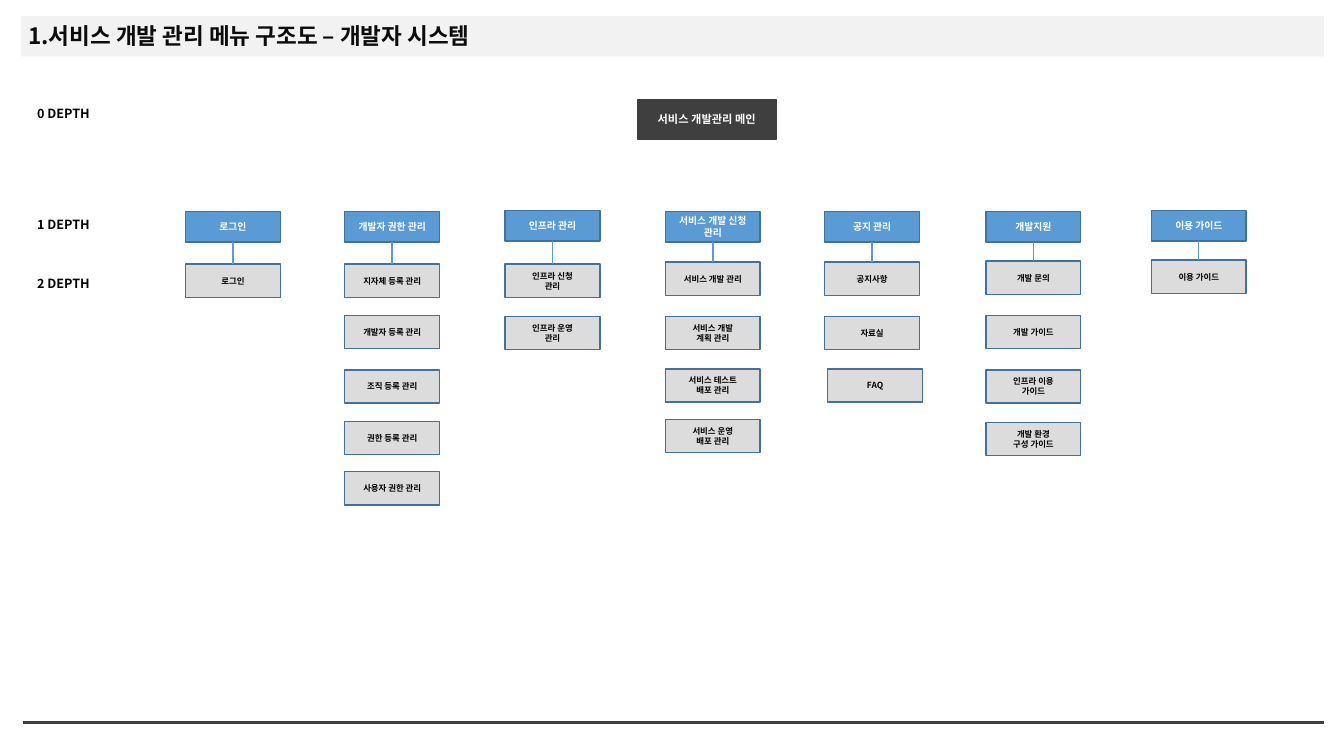
from dataclasses import dataclass

from lxml import etree
from pptx import Presentation
from pptx.dml.color import RGBColor
from pptx.enum.shapes import MSO_CONNECTOR, MSO_SHAPE
from pptx.enum.text import MSO_ANCHOR, MSO_AUTO_SIZE, PP_ALIGN
from pptx.oxml.ns import qn
from pptx.shapes.autoshape import Shape
from pptx.shapes.connector import Connector
from pptx.slide import Slide
from pptx.text.text import TextFrame
from pptx.util import Inches, Pt

RECT = MSO_SHAPE.RECTANGLE
STRAIGHT = MSO_CONNECTOR.STRAIGHT
MIDDLE, TOP = MSO_ANCHOR.MIDDLE, MSO_ANCHOR.TOP
LEFT, CENTER = PP_ALIGN.LEFT, PP_ALIGN.CENTER
BOTTOM_SIDE, TOP_SIDE = 2, 0

FONT = "Noto Sans CJK KR"
COLORS = {
    "band": "F2F2F2", "title": "0C0C0C", "dark": "3F3F3F",
    "blue": "5B9BD5", "edge": "42719B", "gray": "DCDCDC",
    "white": "FFFFFF", "black": "000000",
}
BOX_W = 0.94


@dataclass(frozen=True)
class Style:
    fill: str
    edge: str
    ink: str
    size: float
    height: float


@dataclass(frozen=True)
class Page:
    text: str
    top: float
    shift: float = 0


@dataclass(frozen=True)
class Menu:
    text: str
    left: float
    top: float
    pages: tuple[Page, ...]


MAIN = Style("dark", "dark", "white", 8, 0.39)
HEAD = Style("blue", "edge", "white", 7, 0.3)
LEAF = Style("gray", "edge", "black", 6, 0.33)

DEPTHS = {"0 DEPTH": 0.95, "1 DEPTH": 2.05, "2 DEPTH": 2.64}
MENUS = (
    Menu("로그인", 1.84, 2.1, (Page("로그인", 2.62),)),
    Menu("개발자 권한 관리", 3.42, 2.1, (
        Page("지자체 등록 관리", 2.62),
        Page("개발자 등록 관리", 3.13),
        Page("조직 등록 관리", 3.67),
        Page("권한 등록 관리", 4.18),
        Page("사용자 권한 관리", 4.68),
    )),
    Menu("인프라 관리", 5.01, 2.09, (
        Page("인프라 신청\n관리", 2.62),
        Page("인프라 운영\n관리", 3.14),
    )),
    Menu("서비스 개발 신청 관리", 6.6, 2.1, (
        Page("서비스 개발 관리", 2.6),
        Page("서비스 개발\n계획 관리", 3.14),
        Page("서비스 테스트\n배포 관리", 3.66),
        Page("서비스 운영\n배포 관리", 4.16),
    )),
    Menu("공지 관리", 8.18, 2.1, (
        Page("공지사항", 2.6),
        Page("자료실", 3.14),
        Page("FAQ", 3.66, 0.03),
    )),
    Menu("개발지원", 9.78, 2.1, (
        Page("개발 문의", 2.59),
        Page("개발 가이드", 3.13),
        Page("인프라 이용\n가이드", 3.67),
        Page("개발 환경\n구성 가이드", 4.19),
    )),
    Menu("이용 가이드", 11.42, 2.09, (Page("이용 가이드", 2.58),)),
)


def color(name: str) -> RGBColor:
    return RGBColor.from_string(COLORS[name])


def write(frame: TextFrame, text: str, size: float, ink: str,
          align: PP_ALIGN, anchor: MSO_ANCHOR, side: float, edge: float) -> None:
    """Fill a frame, one paragraph per line; side and edge are insets in inches."""
    frame.word_wrap = True
    frame.auto_size = MSO_AUTO_SIZE.NONE
    frame.vertical_anchor = anchor
    frame.margin_left = frame.margin_right = Inches(side)
    frame.margin_top = frame.margin_bottom = Inches(edge)
    for i, line in enumerate(text.split("\n")):
        para = frame.add_paragraph() if i else frame.paragraphs[0]
        para.alignment = align
        run = para.add_run()
        run.text = line
        font = run.font
        font.name, font.size, font.bold = FONT, Pt(size), True
        font.color.rgb = color(ink)
        props = run._r.get_or_add_rPr()
        etree.SubElement(props, qn("a:ea"), typeface=FONT)


def add_rect(slide: Slide, left: float, top: float, width: float,
             height: float, fill: str) -> Shape:
    rect = slide.shapes.add_shape(
        RECT, Inches(left), Inches(top), Inches(width), Inches(height))
    rect.shadow.inherit = False
    rect.fill.solid()
    rect.fill.fore_color.rgb = color(fill)
    rect.line.fill.background()
    return rect


def add_box(slide: Slide, text: str, left: float, top: float,
            style: Style, width: float = BOX_W) -> Shape:
    box = add_rect(slide, left, top, width, style.height, style.fill)
    box.line.color.rgb = color(style.edge)
    box.line.width = Pt(1)
    write(box.text_frame, text, style.size, style.ink, CENTER, MIDDLE, 0.09, 0)
    return box


def add_line(slide: Slide, ends: tuple[float, float, float, float],
             ink: str, width: float) -> Connector:
    line = slide.shapes.add_connector(STRAIGHT, *map(Inches, ends))
    line.line.color.rgb = color(ink)
    line.line.width = Pt(width)
    etree.SubElement(line._element.spPr, qn("a:effectLst"))
    return line


def add_title(slide: Slide, text: str) -> None:
    title = slide.shapes.title
    title.left, title.top = Inches(0.23), Inches(0.18)
    title.width, title.height = Inches(9.49), Inches(0.38)
    write(title.text_frame, text, 16.1, "title", LEFT, MIDDLE, 0.05, 0.05)
    title.text_frame.paragraphs[0].line_spacing = 0.9
    band = add_rect(slide, 0.21, 0.16, 12.92, 0.4, "band")
    title.element.addprevious(band.element)


def add_label(slide: Slide, text: str, top: float) -> None:
    label = slide.shapes.add_textbox(
        Inches(0.27), Inches(top), Inches(1.23), Inches(0.35))
    write(label.text_frame, text, 9, "black", LEFT, TOP, 0.1, 0.1)


def add_menu(slide: Slide, menu: Menu) -> None:
    head = add_box(slide, menu.text, menu.left, menu.top, HEAD)
    leaves = [add_box(slide, page.text, menu.left + page.shift, page.top, LEAF)
              for page in menu.pages]
    mid = menu.left + BOX_W / 2
    ends = (mid, menu.top + HEAD.height, mid, menu.pages[0].top)
    link = add_line(slide, ends, "blue", 1)
    link.begin_connect(head, BOTTOM_SIDE)
    link.end_connect(leaves[0], TOP_SIDE)


def main() -> None:
    deck = Presentation()
    deck.slide_width, deck.slide_height = Inches(13.33), Inches(7.5)
    slide = deck.slides.add_slide(deck.slide_layouts.get_by_name("Title Only"))
    add_title(slide, "1.서비스 개발 관리 메뉴 구조도 – 개발자 시스템")
    add_line(slide, (0.23, 7.17, 13.13, 7.17), "dark", 2.25)
    add_box(slide, "서비스 개발관리 메인", 6.32, 0.99, MAIN, 1.38)
    for text, top in DEPTHS.items():
        add_label(slide, text, top)
    for menu in MENUS:
        add_menu(slide, menu)
    deck.save("out.pptx")


if __name__ == "__main__":
    main()
